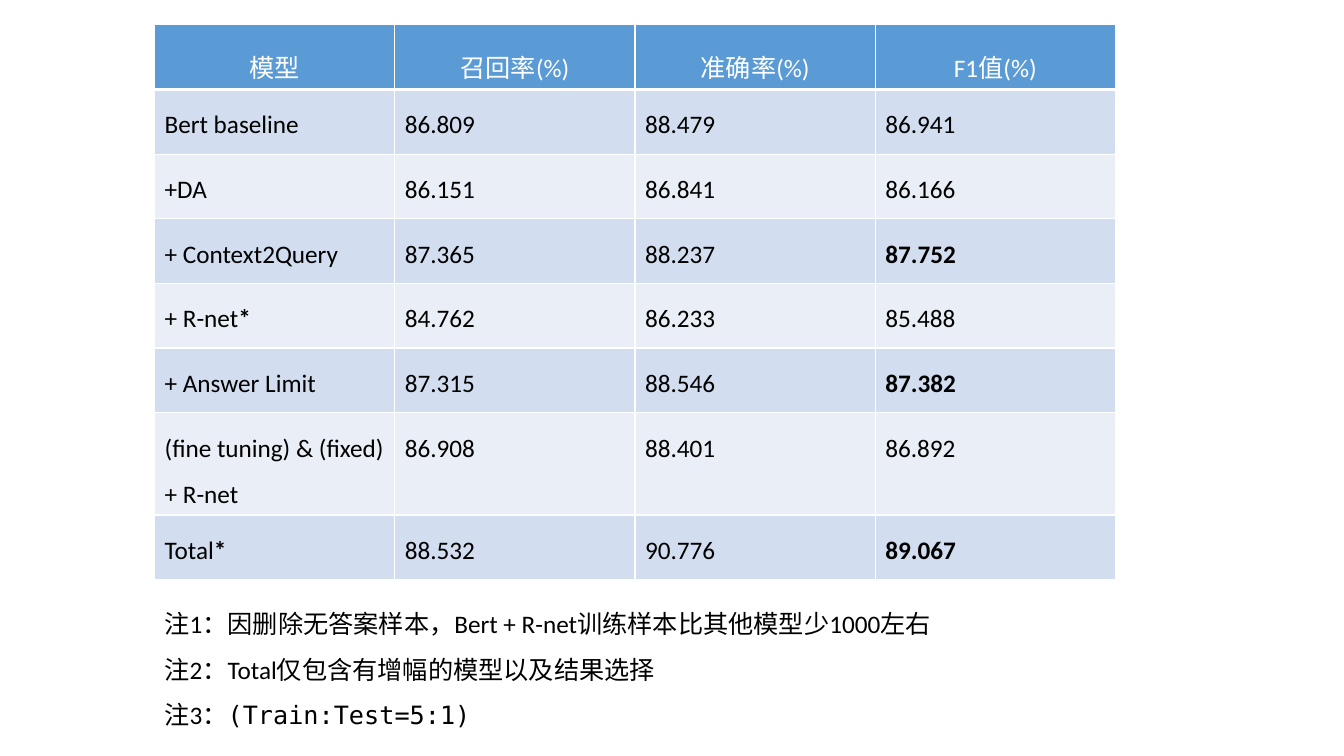
"""Build a slide with a table of model results and three notes."""
import pptx
import pptx.dml.color
import pptx.enum.text
import pptx.oxml
import pptx.oxml.ns
import pptx.util
from pptx.util import Pt

HEADINGS = ["模型", "召回率(%)", "准确率(%)", "F1值(%)"]
RESULTS = [
    ("Bert baseline", "86.809", "88.479", "86.941"),
    ("+DA", "86.151", "86.841", "86.166"),
    ("+ Context2Query", "87.365", "88.237", "87.752"),
    ("+ R-net*", "84.762", "86.233", "85.488"),
    ("+ Answer Limit", "87.315", "88.546", "87.382"),
    ("(fine tuning) & (fixed)+ R-net", "86.908", "88.401", "86.892"),
    ("Total*", "88.532", "90.776", "89.067"),
]
BEST_SCORES = {"87.752", "87.382", "89.067"}
NOTES = [
    [("注1：因删除无答案样本，Bert + R-net训练样本比其他模型少1000左右", "Calibri")],
    [("注2：Total仅包含有增幅的模型以及结果选择", "Calibri")],
    [("注3：", "Calibri"), ("(Train:Test=5:1)", "DejaVu Sans Mono")],
]


def color(value):
    return pptx.dml.color.RGBColor.from_string(value)


class SlideBuilder:
    font = "Calibri"
    size = 18
    spacing = 1.5
    ink = "000000"
    white = "FFFFFF"
    header_fill = "5B9BD5"
    band_fills = ("D2DEEF", "EAEFF7")

    def __init__(self, slide):
        self.slide = slide

    def add_span(self, para, text, ink, bold=False, font=None):
        span = para.add_run()
        span.text = text
        span.font.name = font or self.font
        span.font.size = Pt(self.size)
        span.font.bold = bold
        span.font.color.rgb = color(ink)

    def add_border(self, cell, side, width):
        namespace = pptx.oxml.ns.nsdecls("a")
        line = pptx.oxml.parse_xml(
            f'<a:ln{side} {namespace} w="{Pt(width)}"><a:solidFill>'
            f'<a:srgbClr val="{self.white}"/></a:solidFill></a:ln{side}>'
        )
        cell._tc.get_or_add_tcPr().append(line)

    def fill_cell(self, cell, text, row):
        header = row == 0
        for side in "LRTB":
            thick = (header and side == "B") or (row == 1 and side == "T")
            self.add_border(cell, side, 3 if thick else 1)
        fill = self.header_fill if header else self.band_fills[(row - 1) % 2]
        cell.fill.solid()
        cell.fill.fore_color.rgb = color(fill)
        para = cell.text_frame.paragraphs[0]
        para.line_spacing = self.spacing
        if header:
            para.alignment = pptx.enum.text.PP_ALIGN.CENTER
        ink = self.white if header else self.ink
        name, star, _ = text.partition("*")
        self.add_span(para, name, ink, bold=text in BEST_SCORES)
        if star:
            self.add_span(para, star, ink, bold=True)

    def add_table(self, rows, left, top, column_width, row_height):
        columns = len(rows[0])
        frame = self.slide.shapes.add_table(
            len(rows), columns, Pt(left), Pt(top),
            Pt(column_width * columns), Pt(row_height * len(rows)),
        )
        table = frame.table
        for column in table.columns:
            column.width = Pt(column_width)
        for index, values in enumerate(rows):
            table.rows[index].height = Pt(row_height)
            for position, text in enumerate(values):
                self.fill_cell(table.cell(index, position), text, index)

    def add_notes(self, notes, left, top, width, height):
        box = self.slide.shapes.add_textbox(Pt(left), Pt(top), Pt(width), Pt(height))
        frame = box.text_frame
        frame.word_wrap = True
        frame.auto_size = pptx.enum.text.MSO_AUTO_SIZE.SHAPE_TO_FIT_TEXT
        for index, spans in enumerate(notes):
            para = frame.add_paragraph() if index else frame.paragraphs[0]
            para.line_spacing = self.spacing
            for text, font in spans:
                self.add_span(para, text, self.ink, font=font)


def main():
    deck = pptx.Presentation()
    deck.slide_width = Pt(960)
    deck.slide_height = Pt(540)
    page = SlideBuilder(deck.slides.add_slide(deck.slide_layouts[6]))
    page.add_table([HEADINGS, *RESULTS], 110.4, 17.6, 171.6, 46.2)
    page.add_notes(NOTES, 110.4, 420.5, 596, 101.5)
    deck.save("out.pptx")


if __name__ == "__main__":
    main()
